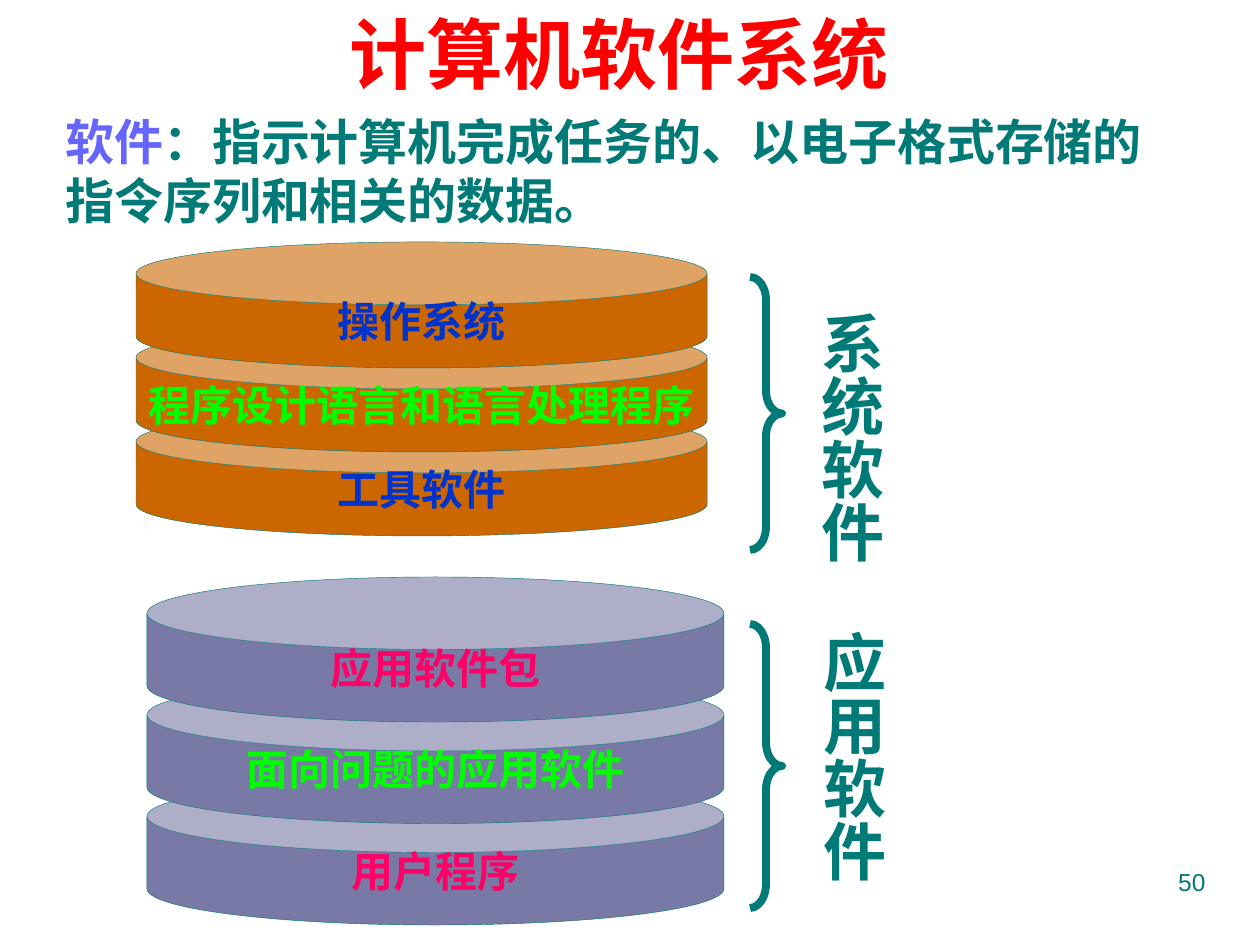
from dataclasses import dataclass

from pptx import Presentation
from pptx.dml.color import RGBColor
from pptx.enum.shapes import MSO_SHAPE as Shape
from pptx.enum.text import MSO_ANCHOR as Anchor
from pptx.enum.text import MSO_AUTO_SIZE as AutoSize
from pptx.enum.text import PP_ALIGN as Align
from pptx.util import Emu, Pt

PX_PER_INCH = 126
EMU_PER_INCH = 914400


@dataclass(frozen=True)
class Theme:
    serif: str = "Times New Roman"
    sans: str = "Arial"
    red: str = "FF0000"
    teal: str = "007A77"
    violet: str = "6666FF"
    blue: str = "0033CC"
    green: str = "00FF00"
    pink: str = "FF0066"
    orange: str = "CC6600"
    slate: str = "7979A5"
    title: int = 44
    group: int = 36
    body: int = 28
    layer: int = 24
    number: int = 14
    outline: float = 0.25
    brace: float = 4.5


THEME = Theme()


def px(*lengths):
    return [Emu(round(length * EMU_PER_INCH / PX_PER_INCH)) for length in lengths]


def rgb(color):
    return RGBColor.from_string(color)


def write(para, text, *, size, color, font=THEME.serif, bold=True, align=None):
    span = para.add_run()
    span.text = text
    span.font.name = font
    span.font.size = Pt(size)
    span.font.bold = bold
    span.font.color.rgb = rgb(color)
    if align is not None:
        para.alignment = align


def fit_frame(shape, *, wrap=False, grow=True, anchor=Anchor.MIDDLE):
    frame = shape.text_frame
    frame.word_wrap = wrap
    frame.auto_size = AutoSize.SHAPE_TO_FIT_TEXT if grow else AutoSize.NONE
    frame.vertical_anchor = anchor
    return frame


def add_title(page, box, text):
    title = page.shapes.title
    title.left, title.top, title.width, title.height = px(*box)
    frame = fit_frame(title)
    write(frame.paragraphs[0], text, size=THEME.title, color=THEME.red,
          align=Align.CENTER)


def add_definition(page, box, term, lines):
    frame = fit_frame(page.shapes.add_textbox(*px(*box)), anchor=Anchor.TOP)
    style = dict(size=THEME.body, font=THEME.sans)
    write(frame.paragraphs[0], term, color=THEME.violet, **style)
    write(frame.paragraphs[0], lines[0], color=THEME.teal, **style)
    for line in lines[1:]:
        write(frame.add_paragraph(), line, color=THEME.teal, **style)


def add_stack(page, box, can_height, fill, layers):
    left, top, width, height = box
    step = (height - can_height) / (len(layers) - 1)
    group = page.shapes.add_group_shape()
    for index, (text, color) in reversed(list(enumerate(layers))):
        can = group.shapes.add_shape(
            Shape.CAN, *px(left, top + index * step, width, can_height))
        can.adjustments[0] = 0.5
        can.shadow.inherit = False
        can.fill.solid()
        can.fill.fore_color.rgb = rgb(fill)
        can.line.color.rgb = rgb(THEME.teal)
        can.line.width = Pt(THEME.outline)
        frame = fit_frame(can, grow=False)
        write(frame.paragraphs[0], text, size=THEME.layer, color=color,
              align=Align.CENTER)


def add_brace(page, box, curl):
    brace = page.shapes.add_shape(Shape.RIGHT_BRACE, *px(*box))
    brace.adjustments[0] = curl
    brace.adjustments[1] = 0.5
    brace.shadow.inherit = False
    brace.fill.background()
    brace.line.color.rgb = rgb(THEME.teal)
    brace.line.width = Pt(THEME.brace)


def add_vertical_label(page, box, text):
    label = page.shapes.add_textbox(*px(*box))
    frame = fit_frame(label)
    label.element.txBody.bodyPr.set("vert", "eaVert")
    write(frame.paragraphs[0], text, size=THEME.group, color=THEME.teal,
          align=Align.CENTER)


def add_page_number(page, box, text):
    number = page.shapes.add_textbox(*px(*box))
    frame = fit_frame(number, wrap=True, grow=False, anchor=Anchor.TOP)
    write(frame.paragraphs[0], text, size=THEME.number, color=THEME.teal,
          font=THEME.sans, bold=False, align=Align.RIGHT)


def main():
    deck = Presentation()
    deck.slide_width, deck.slide_height = px(1260, 945)
    page = deck.slides.add_slide(deck.slide_layouts.get_by_name("Title Only"))

    add_stack(page, (136, 242, 571, 294), 126, THEME.orange, [
        ("操作系统", THEME.blue),
        ("程序设计语言和语言处理程序", THEME.green),
        ("工具软件", THEME.blue),
    ])
    add_stack(page, (147, 577, 577, 348), 145, THEME.slate, [
        ("应用软件包", THEME.pink),
        ("面向问题的应用软件", THEME.green),
        ("用户程序", THEME.pink),
    ])
    add_brace(page, (750, 277, 32, 273), 0.72)
    add_brace(page, (750, 624, 32, 284), 0.75)
    add_vertical_label(page, (800, 300, 101, 261), "系统软件")
    add_vertical_label(page, (802, 619, 101, 261), "应用软件")
    add_title(page, (336, 0, 566, 105), "计算机软件系统")
    add_definition(page, (53, 105, 1109, 130), "软件", [
        "：指示计算机完成任务的、以电子格式存储的",
        "指令序列和相关的数据。",
    ])
    add_page_number(page, (903, 861, 315, 66), "50")
    deck.save("out.pptx")


if __name__ == "__main__":
    main()
